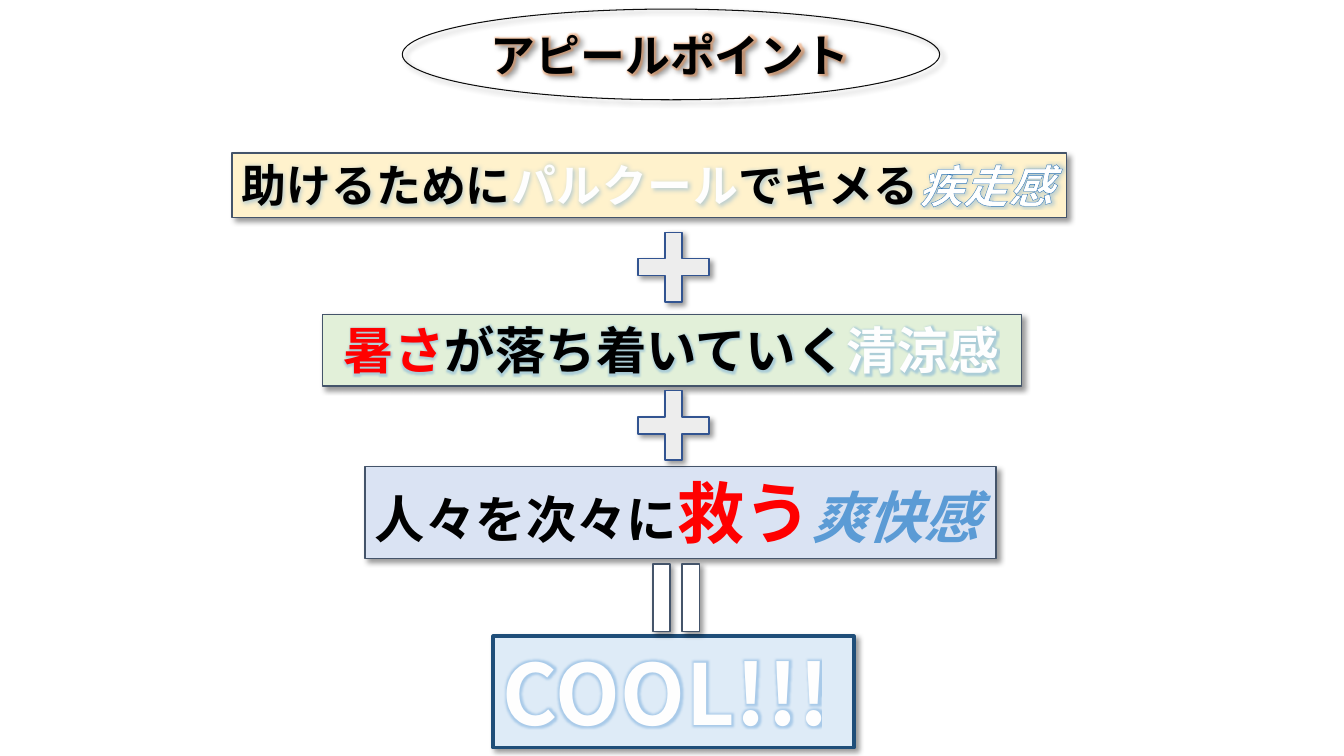
from lxml import etree
from pptx import Presentation
from pptx.dml.color import RGBColor
from pptx.enum.dml import MSO_PATTERN
from pptx.enum.shapes import MSO_SHAPE
from pptx.enum.text import MSO_ANCHOR, MSO_AUTO_SIZE, PP_ALIGN
from pptx.oxml import parse_xml
from pptx.util import Inches, Pt

OVAL, RECT = MSO_SHAPE.OVAL, MSO_SHAPE.RECTANGLE
PLUS, EQUAL = MSO_SHAPE.MATH_PLUS, MSO_SHAPE.MATH_EQUAL
HATCH = MSO_PATTERN.LIGHT_DOWNWARD_DIAGONAL
FONT = "Noto Sans CJK JP"
NS = "http://schemas.openxmlformats.org/drawingml/2006/main"
SHADOW = (f'<a:effectLst xmlns:a="{NS}"><a:outerShdw blurRad="50800" dist="38100" '
          'dir="2700000" algn="tl" rotWithShape="0"><a:srgbClr val="000000">'
          '<a:alpha val="40000"/></a:srgbClr></a:outerShdw></a:effectLst>')
GLOW = (f'<a:effectLst xmlns:a="{NS}"><a:glow rad="63500"><a:srgbClr val="%s">'
        '<a:alpha val="40000"/></a:srgbClr></a:glow></a:effectLst>')
EDGE = (f'<a:ln xmlns:a="{NS}" w="%d"><a:solidFill><a:srgbClr val="%s"/>'
        '</a:solidFill></a:ln>')

deck = Presentation()
deck.slide_width, deck.slide_height = Inches(13.33), Inches(7.5)
slide = deck.slides.add_slide(deck.slide_layouts[6])


def tint(code):
    return RGBColor.from_string(code)


def draw(kind, box, fill, line, width):
    """Add a shape with a soft shadow; no fill when fill is None."""
    shape = slide.shapes.add_shape(kind, *map(Inches, box))
    if fill:
        shape.fill.solid()
        shape.fill.fore_color.rgb = tint(fill)
    else:
        shape.fill.background()
    shape.line.color.rgb = tint(line)
    shape.line.width = Pt(width)
    shape._element.spPr.append(parse_xml(SHADOW))
    return shape


# A run is its text, size, colour and any extras
BLACK, RED, WHITE = "000000", "FF0000", "FEFEFE"
ICE = {"edge": (0.75, "4472C4"), "spc": 50}
panels = [
    (OVAL, (3.99, 0.09, 5.33, 0.9), None, "0D0D0D", 0.75, "ED7D31",
     [("アピールポイント", 32, BLACK, {})]),
    (RECT, (2.3, 1.52, 8.28, 0.64), "FFF2CC", "44546A", 1, "5B9BD5",
     [("助けるために", 32, BLACK, {}), ("パルクール", 32, WHITE, ICE),
      ("でキメる", 32, BLACK, {}),
      ("疾走感", 32, None, {"edge": (1, "2E75B6"), "italic": True})]),
    (RECT, (3.2, 3.12, 6.93, 0.71), "E2F0D9", "44546A", 1, "5B9BD5",
     [(" 暑さ", 36, RED, {}), ("が落ち着いていく", 36, BLACK, {}),
      ("清涼感", 36, WHITE, ICE)]),
    (RECT, (3.62, 4.63, 6.26, 0.91), "DAE3F3", "44546A", 1, None,
     [("人々を次々に", 36, BLACK, {}),
      ("救う", 48, RED, {"edge": (0.75, "FFFFFF")}),
      ("爽快感", 40, "5B9BD5", {"edge": (0.75, "FFFFFF"), "italic": True})]),
    (RECT, (4.89, 6.31, 3.58, 1.11), "DEEBF7", "1F4E79", 2.25, "5B9BD5",
     [("COOL!!!", 60, WHITE, ICE)]),
]

for kind, box, fill, line, width, glow, runs in panels:
    frame = draw(kind, box, fill, line, width).text_frame
    frame.word_wrap = False
    frame.auto_size = MSO_AUTO_SIZE.SHAPE_TO_FIT_TEXT
    frame.vertical_anchor = MSO_ANCHOR.TOP
    para = frame.paragraphs[0]
    para.alignment = PP_ALIGN.LEFT
    for text, size, color, extra in runs:
        run = para.add_run()
        run.text = text
        font = run.font
        look = {"size": Pt(size), "bold": True, "italic": extra.get("italic", False)}
        for key, value in look.items():
            setattr(font, key, value)
        if color:
            font.fill.solid()
            font.fill.fore_color.rgb = tint(color)
        else:
            font.fill.patterned()
            font.fill.pattern = HATCH
            font.fill.fore_color.rgb = tint("9DC3E6")
            font.fill.back_color.rgb = tint("FFFFFF")
        props = font._element
        if "edge" in extra:
            weight, edge = extra["edge"]
            props.insert(0, parse_xml(EDGE % (Pt(weight), edge)))
        if glow:
            props.append(parse_xml(GLOW % glow))
        font.name = FONT
        etree.SubElement(props, f"{{{NS}}}ea").set("typeface", FONT)
        if "spc" in extra:
            props.set("spc", str(extra["spc"]))

for top in (2.18, 3.75):
    plus = draw(PLUS, (6.2, top, 0.96, 0.94), "EDEDED", "325491", 1)
    plus.adjustments[0] = 0.18

equal = draw(EQUAL, (6.25, 5.43, 0.91, 1), "FFFFFF", "44546A", 1)
equal.rotation = 90
equal.adjustments[0], equal.adjustments[1] = 0.17, 0.12

deck.save("out.pptx")
